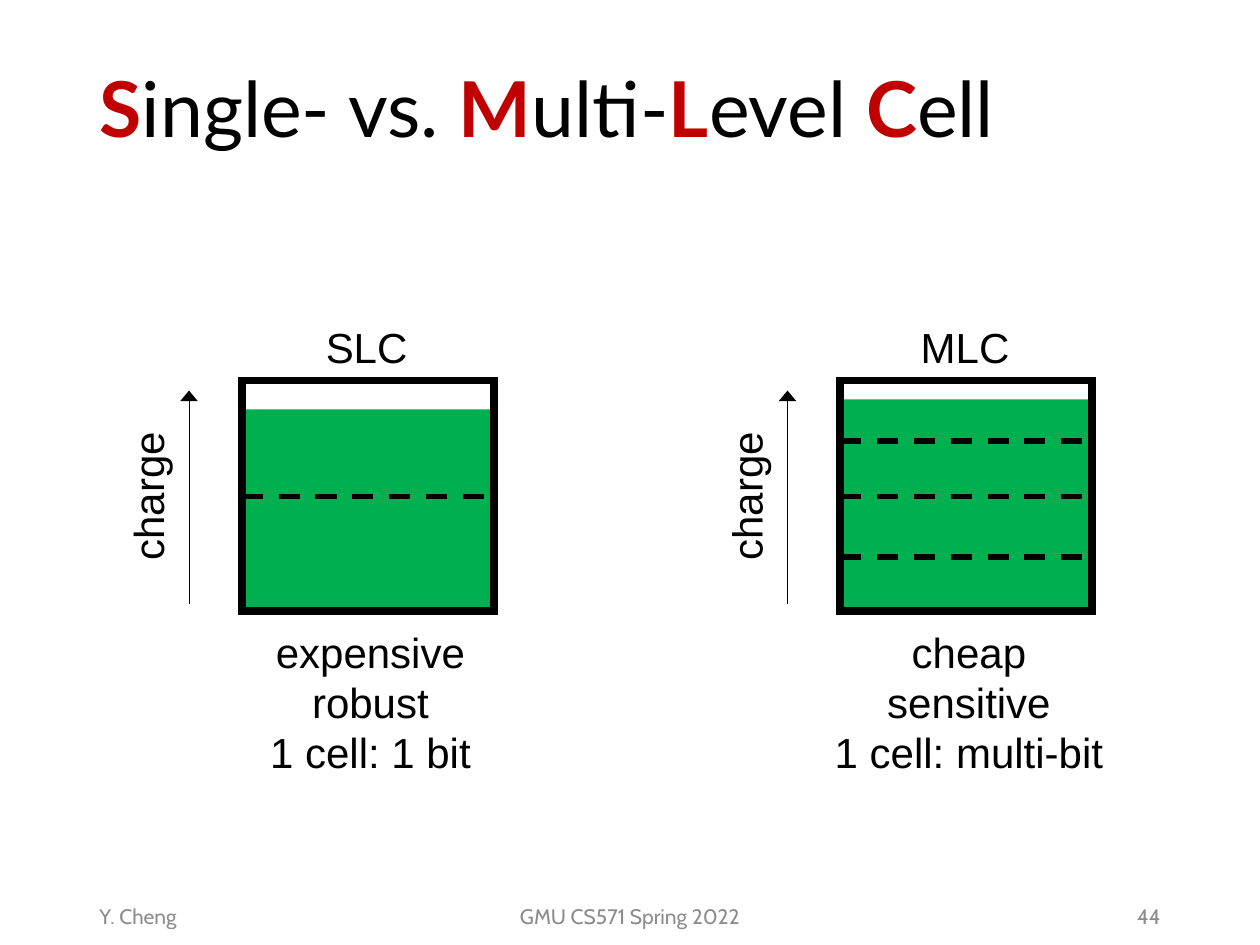
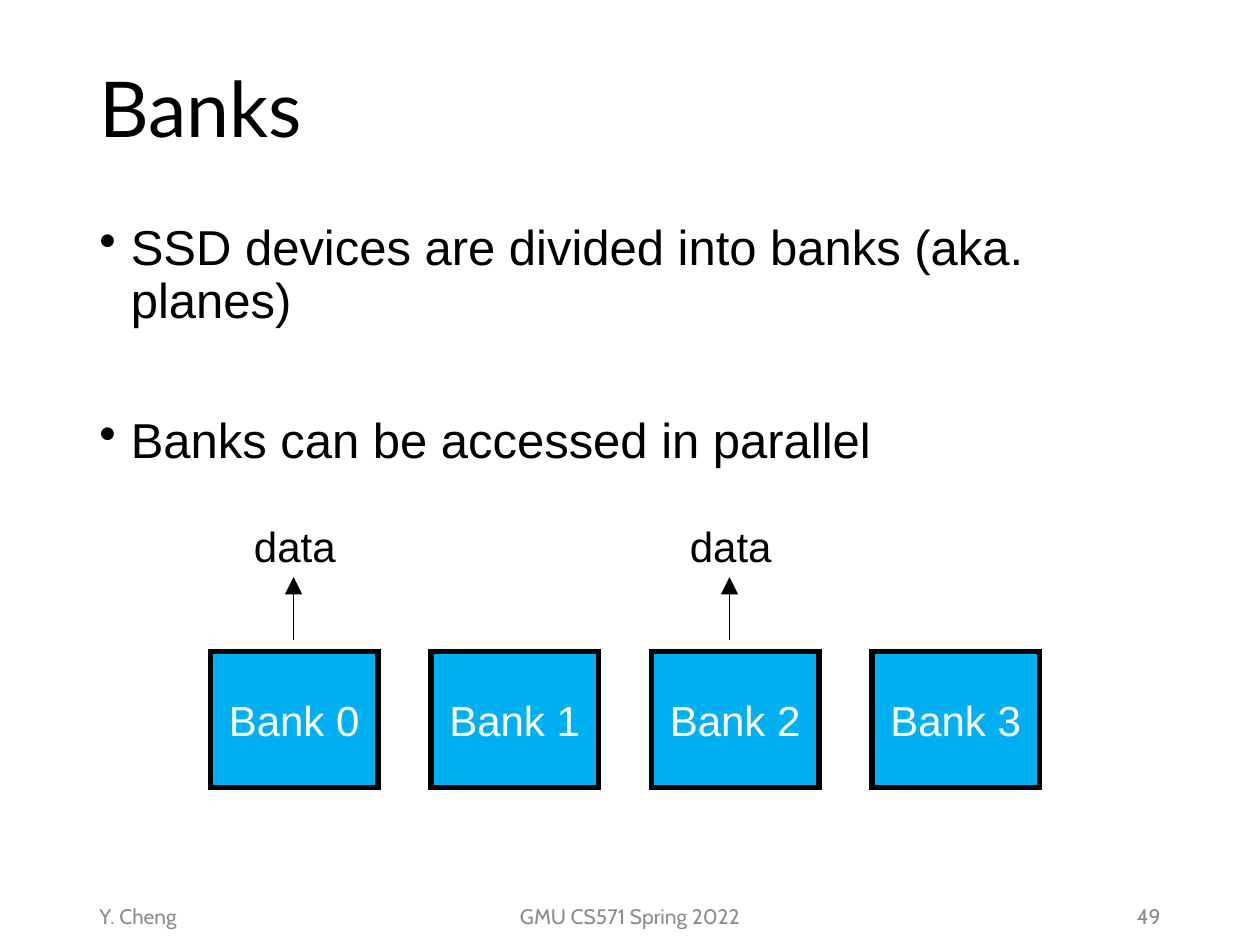
from dataclasses import dataclass

from lxml.etree import SubElement
from pptx import Presentation
from pptx.dml.color import RGBColor
from pptx.enum.dml import MSO_LINE
from pptx.enum.shapes import MSO_CONNECTOR, MSO_SHAPE
from pptx.enum.text import MSO_ANCHOR as ANCHOR, PP_ALIGN as ALIGN
from pptx.oxml.ns import qn
from pptx.util import Inches, Pt


@dataclass(frozen=True)
class Theme:
    black: str = "000000"
    white: str = "FFFFFF"
    accent: str = "C00000"
    charge: str = "00B050"
    bank: str = "00B0F0"
    muted: str = "8C8C8C"
    title_font: str = "Lato"
    body_font: str = "Arial"
    footer_font: str = "Cabin"
    title_size: int = 44
    body_size: int = 28
    label_size: int = 24
    footer_size: int = 12


T = Theme()
MARGIN, CONTENT_W = 0.69, 8.62


def rgb(value):
    return RGBColor.from_string(value)


def add_bullet(p):
    pPr = p._p.get_or_add_pPr()
    pPr.set("marL", str(Inches(0.25)))
    pPr.set("indent", str(-Inches(0.25)))
    SubElement(pPr, qn("a:buChar"), char="•")


def write(shape, paragraphs, font=T.body_font, size=T.label_size, color=T.black,
          align=ALIGN.LEFT, anchor=ANCHOR.TOP, wrap=True, spacing=1.0, gap=0, bullets=False):
    """Fill a shape; a paragraph is a string or a list of (text, is_accent) runs."""
    tf = shape.text_frame
    tf.word_wrap = wrap
    tf.vertical_anchor = anchor
    for i, runs in enumerate(paragraphs):
        p = tf.add_paragraph() if i else tf.paragraphs[0]
        p.alignment = align
        p.line_spacing = spacing
        if i and gap:
            p.space_before = Pt(gap)
        if bullets:
            add_bullet(p)
        for text, is_accent in [(runs, False)] if isinstance(runs, str) else runs:
            r = p.add_run()
            r.text = text
            r.font.name, r.font.size, r.font.bold = font, Pt(size), is_accent
            r.font.color.rgb = rgb(T.accent if is_accent else color)


def add_text(s, x, y, w, h, paragraphs, **style):
    box = s.shapes.add_textbox(Inches(x), Inches(y), Inches(w), Inches(h))
    write(box, paragraphs, **style)
    return box


def add_label(s, center_x, y, w, h, *lines):
    return add_text(s, center_x - w / 2, y, w, h, lines, align=ALIGN.CENTER, wrap=False)


def add_rect(s, x, y, w, h, fill=None, line_width=None):
    sp = s.shapes.add_shape(MSO_SHAPE.RECTANGLE, Inches(x), Inches(y), Inches(w), Inches(h))
    sp.shadow.inherit = False
    if fill:
        sp.fill.solid()
        sp.fill.fore_color.rgb = rgb(fill)
    else:
        sp.fill.background()
    if line_width:
        sp.line.color.rgb = rgb(T.black)
        sp.line.width = Pt(line_width)
        SubElement(sp.line._get_or_add_ln(), qn("a:miter"), lim="800000")
    else:
        sp.line.fill.background()
    return sp


def add_line(s, x1, y1, x2, y2, width):
    line = s.shapes.add_connector(MSO_CONNECTOR.STRAIGHT, Inches(x1), Inches(y1),
                                  Inches(x2), Inches(y2))
    line.line.color.rgb = rgb(T.black)
    line.line.width = Pt(width)
    SubElement(line._element.spPr, qn("a:effectLst"))
    return line


def add_up_arrow(s, x, bottom, top, head_length):
    arrow = add_line(s, x, bottom, x, top, 0.5)
    SubElement(arrow.line._get_or_add_ln(), qn("a:tailEnd"),
               type="triangle", w="lg", len=head_length)


def add_footer(s, number):
    for x, w, text, align in ((3.31, 3.38, "GMU CS571 Spring 2022", ALIGN.CENTER),
                              (MARGIN, 2.25, "Y. Cheng", ALIGN.LEFT),
                              (7.06, 2.25, str(number), ALIGN.RIGHT)):
        add_text(s, x, 7.07, w, 0.4, [text], font=T.footer_font, size=T.footer_size,
                 color=T.muted, align=align, anchor=ANCHOR.MIDDLE)


def add_slide(prs, title, number):
    s = prs.slides.add_slide(prs.slide_layouts[6])
    add_text(s, MARGIN, 0.17, CONTENT_W, 1.45, [title], font=T.title_font,
             size=T.title_size, anchor=ANCHOR.MIDDLE, spacing=0.9)
    add_footer(s, number)
    return s


def add_cell(s, x, y, name, empty, levels, traits):
    """Draw a charge tank at x, y: empty is the gap on top, levels the dashed thresholds."""
    w, h = 2, 1.83
    add_rect(s, x, y + empty, w, h - empty, fill=T.charge)
    add_rect(s, x, y, w, h, line_width=4.5)
    for level in levels:
        threshold = add_line(s, x, y + level, x + w, y + level, 3)
        threshold.line.dash_style = MSO_LINE.DASH
    add_label(s, x + w / 2 - 0.01, y - 0.52, 1.4, 0.5, name)
    add_up_arrow(s, x - 0.42, y + 1.77, y + 0.08, "med")
    add_label(s, x - 0.75, y + 0.67, 1.4, 0.5, "charge").rotation = 270
    add_label(s, x + w / 2 + 0.02, y + h + 0.07, 2.6, 1.31, *traits)


def add_banks(s, x, y, count):
    w, h, pitch = 1.33, 1.08, 1.75
    for i in range(count):
        bank = add_rect(s, x + i * pitch, y, w, h, fill=T.bank, line_width=3)
        write(bank, [f"Bank {i}"], color=T.white, align=ALIGN.CENTER, anchor=ANCHOR.MIDDLE)
    for arrow_x in (x + 0.66, x + 4.12):
        add_up_arrow(s, arrow_x, y - 0.09, y - 0.59, "lg")
        add_label(s, arrow_x + 0.01, y - 1.09, 1.2, 0.5, "data")


def build_cell_slide(prs):
    title = [("S", True), ("ingle- vs. ", False), ("M", True), ("ulti-", False),
             ("L", True), ("evel ", False), ("C", True), ("ell", False)]
    s = add_slide(prs, title, 44)
    add_cell(s, 1.92, 3.02, "SLC", 0.23, [0.92],
             ["expensive", "robust", "1 cell: 1 bit"])
    add_cell(s, 6.67, 3.02, "MLC", 0.15, [0.48, 0.92, 1.4],
             ["cheap", "sensitive", "1 cell: multi-bit"])


def build_bank_slide(prs):
    s = add_slide(prs, "Banks", 49)
    add_text(s, MARGIN, 1.72, CONTENT_W, 5.24,
             ["SSD devices are divided into banks (aka. planes)",
              "Banks can be accessed in parallel"],
             size=T.body_size, spacing=0.9, gap=50, bullets=True)
    add_banks(s, 1.67, 5.17, 4)


def main():
    prs = Presentation()
    prs.slide_width, prs.slide_height = Inches(10), Inches(7.5)
    build_cell_slide(prs)
    build_bank_slide(prs)
    prs.save("out.pptx")


if __name__ == "__main__":
    main()
